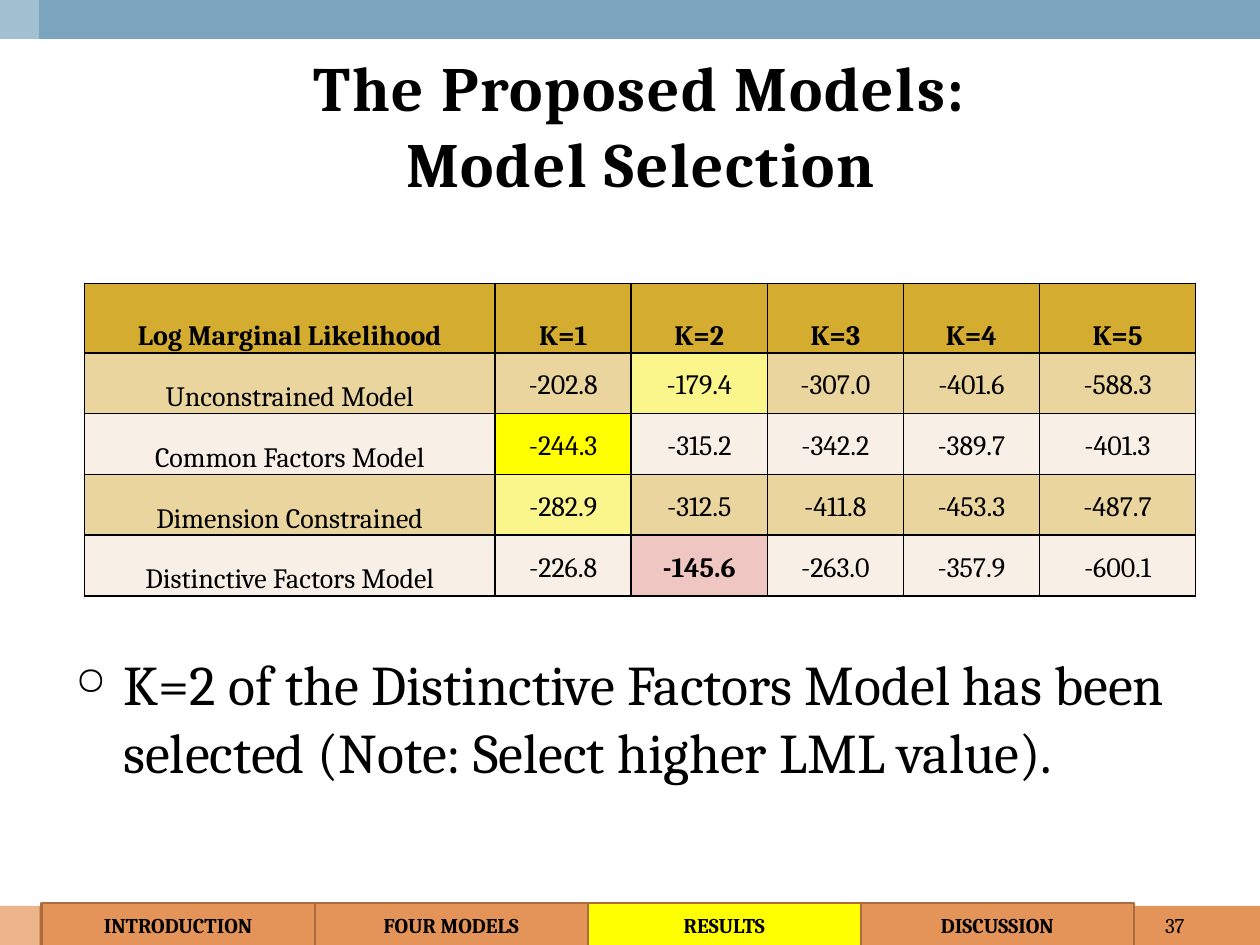
import pptx
import pptx.util
from lxml import etree
from pptx.dml.color import RGBColor
from pptx.enum.shapes import MSO_SHAPE
from pptx.enum.text import MSO_ANCHOR, PP_ALIGN
from pptx.oxml.ns import qn

Inches, Pt = pptx.util.Inches, pptx.util.Pt

FONT = "Cambria"
WIDTH, HEIGHT = 10, 7.5
BAND = 0.31
BLACK = RGBColor(0x00, 0x00, 0x00)
WHITE = RGBColor(0xFF, 0xFF, 0xFF)
BLUE = RGBColor(0x7B, 0xA5, 0xBE)
ORANGE = RGBColor(0xE4, 0x94, 0x58)
BROWN = RGBColor(0xA9, 0x6D, 0x41)
GOLD = RGBColor(0xD4, 0xAC, 0x30)
SAND = RGBColor(0xE9, 0xD5, 0x9D)
CREAM = RGBColor(0xF8, 0xF0, 0xE7)
YELLOW = RGBColor(0xFF, 0xFF, 0x00)
PALE_YELLOW = RGBColor(0xFB, 0xF6, 0x8B)
PINK = RGBColor(0xEF, 0xC6, 0xC1)

HEADINGS = ["Log Marginal Likelihood", "K=1", "K=2", "K=3", "K=4", "K=5"]
MODELS = [
    ["Unconstrained Model", "-202.8", "-179.4", "-307.0", "-401.6", "-588.3"],
    ["Common Factors Model", "-244.3", "-315.2", "-342.2", "-389.7", "-401.3"],
    ["Dimension Constrained", "-282.9", "-312.5", "-411.8", "-453.3", "-487.7"],
    ["Distinctive Factors Model", "-226.8", "-145.6", "-263.0", "-357.9", "-600.1"],
]
COLUMN_WIDTHS = [3.26, 1.08, 1.08, 1.08, 1.08, 1.24]
HIGHLIGHTS = {(1, 2): PALE_YELLOW, (2, 1): YELLOW, (3, 1): PALE_YELLOW, (4, 2): PINK}
SELECTED = (4, 2)
SECTIONS = ["INTRODUCTION", "FOUR MODELS", "RESULTS", "DISCUSSION"]


def style(para, size, align=PP_ALIGN.LEFT, bold=False):
    para.alignment = align
    para.font.name = FONT
    para.font.size = Pt(size)
    para.font.bold = bold
    para.font.color.rgb = BLACK


def add_rectangle(page, box, fill, line=None):
    shape = page.shapes.add_shape(MSO_SHAPE.RECTANGLE, *map(Inches, box))
    shape.shadow.inherit = False
    shape.fill.solid()
    shape.fill.fore_color.rgb = fill
    if line is None:
        shape.line.fill.background()
    else:
        shape.line.color.rgb = line
        shape.line.width = Pt(1.25)
    return shape


def add_text(page, box, text, anchor=MSO_ANCHOR.TOP):
    frame = page.shapes.add_textbox(*map(Inches, box)).text_frame
    frame.word_wrap = True
    frame.vertical_anchor = anchor
    frame.text = text
    return frame.paragraphs[0]


def add_background(page, box):
    """Bands at top and bottom, lightened by a strip at the left."""
    left, top, width, height = box
    add_rectangle(page, (left, top + height - BAND, width, BAND), ORANGE)
    add_rectangle(page, (left, top, width, BAND), BLUE)
    strip = add_rectangle(page, (left, top, BAND, height), WHITE)
    color = strip.fill._xPr.find(qn("a:solidFill"))[0]
    etree.SubElement(color, qn("a:alpha"), val="30000")


def add_title(page, box, text):
    para = add_text(page, box, text, MSO_ANCHOR.MIDDLE)
    style(para, 36, PP_ALIGN.CENTER, bold=True)
    for span in para.runs:
        span.font._element.set("spc", "100")


def add_bullet(page, box, text):
    para = add_text(page, box, text)
    properties = para._p.get_or_add_pPr()
    properties.set("marL", str(Inches(0.38)))
    properties.set("indent", str(-Inches(0.38)))
    etree.SubElement(properties, qn("a:buSzPct"), val="70000")
    etree.SubElement(properties, qn("a:buChar"), char="○")
    style(para, 32)


def add_borders(cell):
    properties = cell._tc.get_or_add_tcPr()
    for index, side in enumerate(("a:lnL", "a:lnR", "a:lnT", "a:lnB")):
        line = etree.Element(qn(side), w=str(Pt(1)))
        fill = etree.SubElement(line, qn("a:solidFill"))
        etree.SubElement(fill, qn("a:srgbClr"), val=str(BLACK))
        properties.insert(index, line)


def add_likelihood_table(page, box):
    rows = [HEADINGS] + MODELS
    table = page.shapes.add_table(len(rows), len(HEADINGS), *map(Inches, box)).table
    for column, width in zip(table.columns, COLUMN_WIDTHS):
        column.width = Inches(width)
    header_height = 0.55
    for r, values in enumerate(rows):
        body_height = (box[3] - header_height) / len(MODELS)
        table.rows[r].height = Inches(body_height if r else header_height)
        row_fill = GOLD if r == 0 else SAND if r % 2 else CREAM
        for c, value in enumerate(values):
            cell = table.cell(r, c)
            cell.text = value
            cell.margin_left = cell.margin_right = Inches(0.07)
            cell.margin_top = cell.margin_bottom = 0
            at_bottom = r == 0 or c == 0
            cell.vertical_anchor = MSO_ANCHOR.BOTTOM if at_bottom else MSO_ANCHOR.MIDDLE
            cell.fill.solid()
            cell.fill.fore_color.rgb = HIGHLIGHTS.get((r, c), row_fill)
            add_borders(cell)
            para = cell.text_frame.paragraphs[0]
            para.line_spacing = 1.15
            style(para, 16, PP_ALIGN.CENTER, bold=r == 0 or (r, c) == SELECTED)


def add_section_bar(page, box, current):
    left, top, width, height = box
    step = width / len(SECTIONS)
    for index, name in enumerate(SECTIONS):
        fill = YELLOW if name == current else ORANGE
        tab = add_rectangle(page, (left + index * step, top, step, height), fill, BROWN)
        tab.text_frame.text = name
        tab.text_frame.vertical_anchor = MSO_ANCHOR.MIDDLE
        style(tab.text_frame.paragraphs[0], 12, PP_ALIGN.CENTER, bold=True)


def add_page_number(page, box, number):
    style(add_text(page, box, number, MSO_ANCHOR.MIDDLE), 12, PP_ALIGN.RIGHT)


def main():
    deck = pptx.Presentation()
    deck.slide_width, deck.slide_height = Inches(WIDTH), Inches(HEIGHT)
    page = deck.slides.add_slide(deck.slide_layouts[6])
    add_background(page, (0, 0, WIDTH, HEIGHT))
    add_bullet(page, (0.5, 5.11, 9.25, 2),
               "K=2 of the Distinctive Factors Model has been selected "
               "(Note: Select higher LML value).")
    add_page_number(page, (7.17, HEIGHT - BAND, 2.33, BAND), "37")
    add_title(page, (0.25, BAND, 9.67, 1.35), "The Proposed Models:\vModel Selection")
    add_likelihood_table(page, (0.67, 2.25, 8.82, 2.48))
    add_section_bar(page, (0.33, 7.17, 8.67, 0.34), "RESULTS")
    deck.save("out.pptx")


if __name__ == "__main__":
    main()
